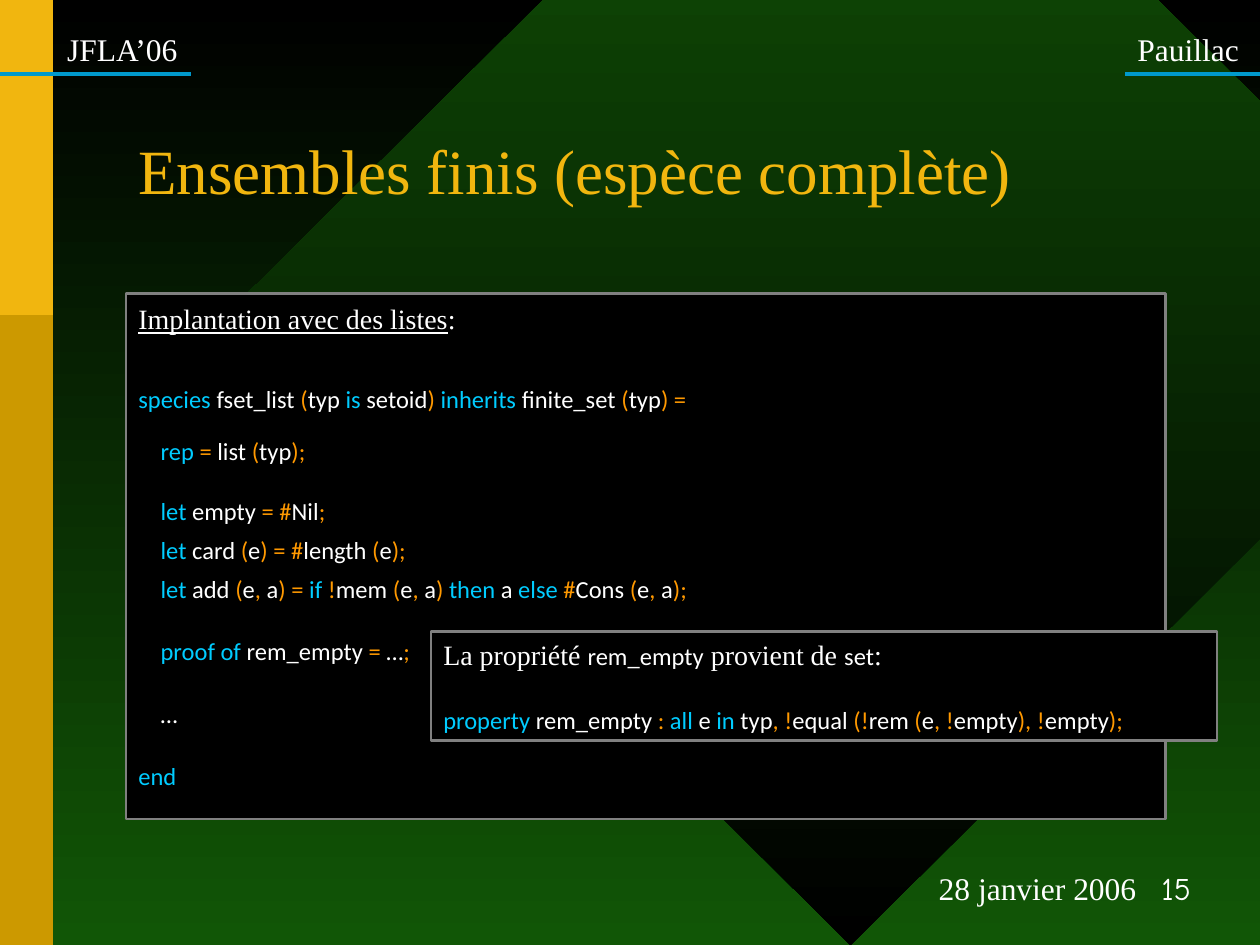
import itertools

import pptx
import pptx.dml.color
import pptx.enum.shapes
import pptx.enum.text
import pptx.oxml
import pptx.util
from pptx.util import Inches

Pt = pptx.util.Pt
RGB = pptx.dml.color.RGBColor.from_string
SHAPE = pptx.enum.shapes.MSO_SHAPE
ALIGN = pptx.enum.text.PP_ALIGN
ANCHOR = pptx.enum.text.MSO_ANCHOR


class Theme:
    white, black, green = RGB("FFFFFF"), RGB("000000"), RGB("115606")
    gold, dark_gold, rule = RGB("F1B60F"), RGB("CC9900"), RGB("0099CC")
    border, keyword, symbol = RGB("808080"), RGB("00CCFF"), RGB("FF9900")
    serif, code, number = "Times New Roman", "Calibri", "Comic Neue"
    title_size, label_size, text_size, code_size = Pt(36), Pt(18), Pt(16), Pt(14)


KEYWORDS = set("species is inherits rep let if then else proof of end property all in".split())
SYMBOLS = "(),;:=#!"


def add_run(p, text, font, size, color):
    r = p.add_run()
    r.text = text
    r.font.name, r.font.size, r.font.color.rgb = font, size, color
    return r


def add_code(p, code):
    """Add code to p, coloured by keyword, symbol and plain text."""
    pieces, color = [], Theme.white
    for kind, chars in itertools.groupby(
            code, lambda c: "symbol" if c in SYMBOLS else "space" if c == " " else "word"):
        word = "".join(chars)
        if kind == "symbol":
            color = Theme.symbol
        elif kind == "word":
            color = Theme.keyword if word in KEYWORDS else Theme.white
        pieces.append((color, word))
    for color, group in itertools.groupby(pieces, lambda piece: piece[0]):
        add_run(p, "".join(word for _, word in group), Theme.code, Theme.code_size, color)


prs = pptx.Presentation()
prs.slide_width, prs.slide_height = Inches(10), Inches(7.5)
s = prs.slides.add_slide(prs.slide_layouts[6])

# Background, diamond and side bars
diamond = s.shapes.add_shape(SHAPE.DIAMOND, Inches(1.75), Inches(-2.42), Inches(10), Inches(9.92))
diamond.shadow.inherit = False
diamond.line.fill.background()
for fill, colors in ((s.background.fill, (Theme.black, Theme.green)),
                     (diamond.fill, (Theme.green, Theme.black))):
    fill.gradient()
    fill.gradient_angle = 270
    for position, (stop, color) in enumerate(zip(fill.gradient_stops, colors)):
        stop.position, stop.color.rgb = position, color

for height, color in ((7.5, Theme.dark_gold), (2.5, Theme.gold)):
    bar = s.shapes.add_shape(SHAPE.RECTANGLE, 0, 0, Inches(0.42), Inches(height))
    bar.shadow.inherit = False
    bar.fill.solid()
    bar.fill.fore_color.rgb = color
    bar.line.fill.background()

# Header rules
for start, end in ((0, 1.52), (10, 8.93)):
    rule = s.shapes.add_connector(pptx.enum.shapes.MSO_CONNECTOR.STRAIGHT,
                                  Inches(start), Inches(0.59), Inches(end), Inches(0.59))
    rule.line.color.rgb, rule.line.width = Theme.rule, Pt(2.25)
    rule._element.spPr.append(pptx.oxml.parse_xml(
        '<a:effectLst xmlns:a="http://schemas.openxmlformats.org/drawingml/2006/main"/>'))

# Header and footer texts
labels = [
    ("JFLA’06", (0.42, 0.19, 1.1, 0.4)),
    ("Pauillac", (8.93, 0.19, 1, 0.4)),
    ("28 janvier 2006", (7.35, 6.85, 1.77, 0.4)),
]
for text, box in labels:
    tf = s.shapes.add_textbox(*map(Inches, box)).text_frame
    tf.word_wrap = False
    tf.auto_size = pptx.enum.text.MSO_AUTO_SIZE.SHAPE_TO_FIT_TEXT
    tf.margin_left = tf.margin_right = Inches(0.05)
    tf.paragraphs[0].alignment = ALIGN.CENTER
    add_run(tf.paragraphs[0], text, Theme.serif, Theme.label_size, Theme.white)

# Slide number
tf = s.shapes.add_textbox(Inches(8.94), Inches(6.92), Inches(0.61), Inches(0.33)).text_frame
tf.word_wrap, tf.vertical_anchor = True, ANCHOR.BOTTOM
tf.paragraphs[0].alignment = ALIGN.RIGHT
add_run(tf.paragraphs[0], "15", Theme.number, Theme.label_size, Theme.white)

# Title
tf = s.shapes.add_textbox(Inches(1), Inches(1.03), Inches(8.25), Inches(0.72)).text_frame
tf.word_wrap, tf.vertical_anchor = True, ANCHOR.MIDDLE
tf.paragraphs[0].line_spacing = 0.85
add_run(tf.paragraphs[0], "Ensembles finis (espèce complète)",
        Theme.serif, Theme.title_size, Theme.gold)

# Code panels: heading pieces, then (space before, code line)
species_lines = [
    (32.5, "species fset_list (typ is setoid) inherits finite_set (typ) ="),
    (18, "    rep = list (typ);"),
    (22.5, "    let empty = #Nil;"),
    (10.5, "    let card (e) = #length (e);"),
    (10.5, "    let add (e, a) = if !mem (e, a) then a else #Cons (e, a);"),
    (24, "    proof of rem_empty = …;"),
    (24, "    …"),
    (24, "end"),
]
property_lines = [
    (19.5, "property rem_empty : all e in typ, !equal (!rem (e, !empty), !empty);"),
]
panels = [
    ((1, 2.33, 8.25, 4.17), 0.14, 0.7,
     ["Implantation avec des listes", ":"], species_lines),
    ((3.42, 5.01, 6.24, 0.87), 0.05, 1.0,
     ["La propriété ", "rem_empty", " provient de ", "set", ":"], property_lines),
]
for box, top_margin, spacing, heading, lines in panels:
    panel = s.shapes.add_shape(SHAPE.RECTANGLE, *map(Inches, box))
    panel.shadow.inherit = False
    panel.fill.solid()
    panel.fill.fore_color.rgb = Theme.black
    panel.line.color.rgb, panel.line.width = Theme.border, Pt(1.5)
    tf = panel.text_frame
    tf.word_wrap, tf.vertical_anchor = True, ANCHOR.TOP
    tf.margin_top = Inches(top_margin)
    p = tf.paragraphs[0]
    for piece in heading:
        if piece in ("rem_empty", "set"):
            add_run(p, piece, Theme.code, Theme.code_size, Theme.white)
        else:
            r = add_run(p, piece, Theme.serif, Theme.text_size, Theme.white)
            r.font.underline = piece.startswith("Implantation")
    for space, code in lines:
        p = tf.add_paragraph()
        p.space_before = Pt(space)
        add_code(p, code)
    for p in tf.paragraphs:
        p.alignment, p.line_spacing = ALIGN.LEFT, spacing

prs.save("out.pptx")
